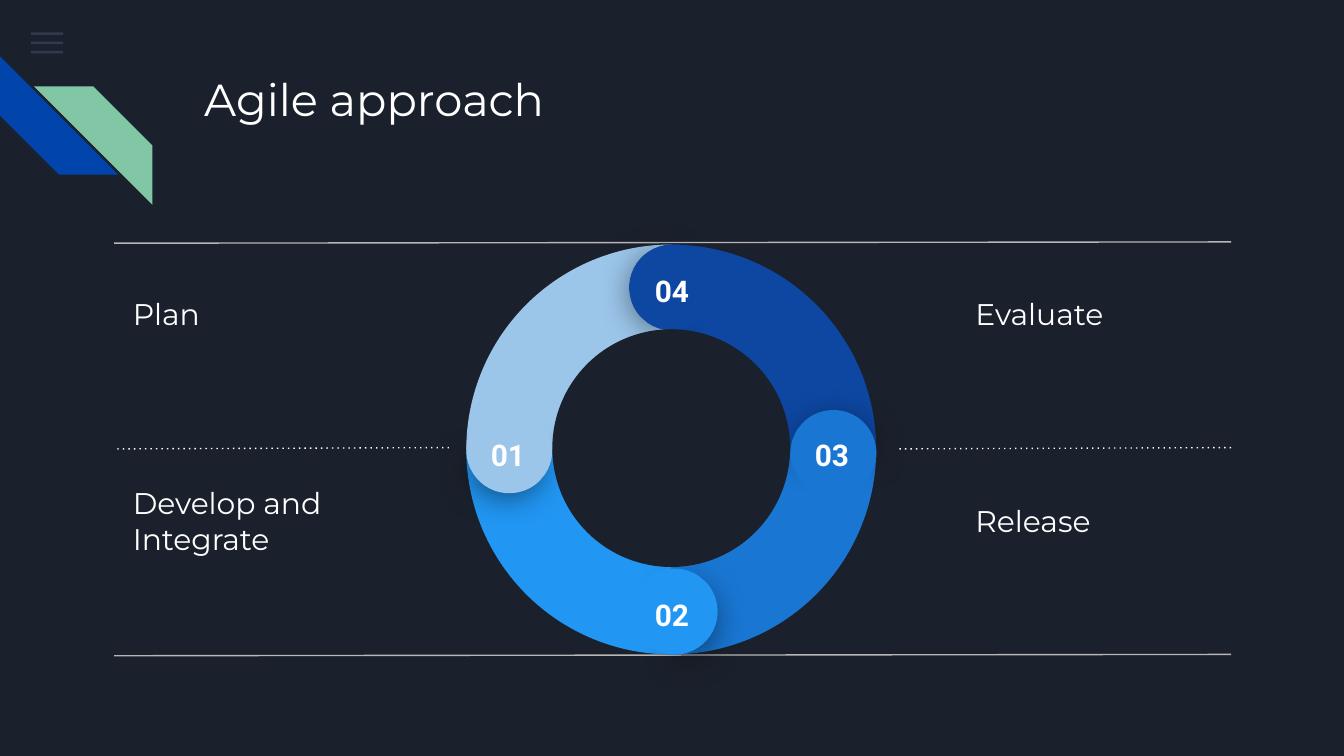
import dataclasses

import lxml.etree
import pptx
import pptx.dml.color
import pptx.enum.shapes
import pptx.enum.text
import pptx.oxml.ns
import pptx.util

Pt = pptx.util.Pt
qn = pptx.oxml.ns.qn
SHAPE = pptx.enum.shapes.MSO_SHAPE
ALIGN = pptx.enum.text.PP_ALIGN
ANCHOR = pptx.enum.text.MSO_ANCHOR


@dataclasses.dataclass(frozen=True)
class Theme:
    ground: str = "1B212C"
    text: str = "FFFFFF"
    rule: str = "B7B7B7"
    menu: str = "55688B"
    blue: str = "0145AC"
    green: str = "82C7A5"
    shadow: str = "000000"
    steps: tuple = ("9BC5E9", "2196F3", "1976D2", "0D47A1")
    body_font: str = "Montserrat"
    number_font: str = "Roboto"
    title_size: float = 24
    body_size: float = 16


def rgb(value):
    return pptx.dml.color.RGBColor.from_string(value)


def write(tf, text, *, size, font, color, bold=False, align=ALIGN.LEFT, anchor=ANCHOR.TOP):
    tf.word_wrap = True
    tf.auto_size = pptx.enum.text.MSO_AUTO_SIZE.NONE
    tf.vertical_anchor = anchor
    tf.margin_left = tf.margin_right = tf.margin_top = tf.margin_bottom = Pt(7.2)
    p = tf.paragraphs[0]
    p.alignment = align
    r = p.add_run()
    r.text = text
    r.font.size = Pt(size)
    r.font.name = font
    r.font.bold = bold
    r.font.color.rgb = rgb(color)


class Deck:
    def __init__(self, prs, theme):
        self.theme = theme
        self.s = prs.slides.add_slide(prs.slide_layouts[5])
        fill = self.s.background.fill
        fill.solid()
        fill.fore_color.rgb = rgb(theme.ground)

    def title(self, text, x, y, w, h):
        sp = self.s.shapes.title
        sp.left, sp.top, sp.width, sp.height = map(Pt, (x, y, w, h))
        write(sp.text_frame, text, size=self.theme.title_size,
              font=self.theme.body_font, color=self.theme.text)

    def text(self, text, x, y, w, h, **style):
        sp = self.s.shapes.add_textbox(*map(Pt, (x, y, w, h)))
        write(sp.text_frame, text, size=self.theme.body_size, color=self.theme.text, **style)

    def shape(self, kind, x, y, w, h, color, turn=0, adjust=(), alpha=None):
        sp = self.s.shapes.add_shape(kind, *map(Pt, (x, y, w, h)))
        sp.shadow.inherit = False
        sp.fill.solid()
        sp.fill.fore_color.rgb = rgb(color)
        sp.line.fill.background()
        sp.rotation = turn % 360
        for i, value in enumerate(adjust):
            sp.adjustments[i] = value
        if alpha is not None:
            clr = sp._element.spPr.find(qn("a:solidFill")).find(qn("a:srgbClr"))
            lxml.etree.SubElement(clr, qn("a:alpha"), val=str(alpha * 1000))
        return sp

    def cast_shadow(self, sp, alpha=55, blur=18, distance=4, direction=90):
        effects = sp._element.spPr.find(qn("a:effectLst"))
        shadow = lxml.etree.SubElement(
            effects, qn("a:outerShdw"), blurRad=str(Pt(blur)), dist=str(Pt(distance)),
            dir=str(direction * 60000), algn="bl", rotWithShape="0")
        clr = lxml.etree.SubElement(shadow, qn("a:srgbClr"), val=self.theme.shadow)
        lxml.etree.SubElement(clr, qn("a:alpha"), val=str(alpha * 1000))

    def line(self, x1, y1, x2, y2, color, dotted=False):
        c = self.s.shapes.add_connector(
            pptx.enum.shapes.MSO_CONNECTOR.STRAIGHT, *map(Pt, (x1, y1, x2, y2)))
        c.line.color.rgb = rgb(color)
        c.line.width = Pt(0.75)
        spPr = c._element.spPr
        if dotted:
            lxml.etree.SubElement(spPr.find(qn("a:ln")), qn("a:prstDash"), val="dot")
        lxml.etree.SubElement(spPr, qn("a:effectLst"))


def main():
    prs = pptx.Presentation()
    prs.slide_width, prs.slide_height = Pt(720), Pt(405)
    theme = Theme()
    deck = Deck(prs, theme)

    for i in range(3):
        deck.shape(SHAPE.RECTANGLE, 16.6, 17.3 + 5 * i, 17.3, 1.4, theme.menu, alpha=36)
    for x, y, color, turn in ((0, 30.2, theme.blue, 270), (18.2, 46.3, theme.green, 90)):
        deck.shape(SHAPE.DIAGONAL_STRIPE, x, y, 63.4, 63.4, color, turn, (0.5,))

    deck.title("Agile approach", 102.2, 31, 554.4, 72)

    left, right = 64.1, 515.5
    upper, lower = 150.5, 261.4
    for text, x, y in (("Plan", left, upper), ("Develop and Integrate", left, lower),
                       ("Evaluate", right, upper), ("Release", right, lower)):
        deck.text(text, x, y, 146.2, 35.3, font=theme.body_font, anchor=ANCHOR.MIDDLE)

    for x1, x2, y, color, dotted in (
            (659.5, 61.2, 129.6, theme.rule, False),
            (240.5, 61.2, 239.8, theme.text, True),
            (659.5, 480.2, 239.8, theme.text, True),
            (659.5, 61.2, 350.6, theme.rule, False)):
        deck.line(x1, y, x2, y + 0.7, color, dotted)

    turns = (0, 270, 180, 90)
    for color, turn in zip(theme.steps, turns):
        deck.shape(SHAPE.PIE, 249.8, 131, 219.6, 219.6, color, turn, (107.96, 162.01))

    caps = (
        ((250.6, 221), (249.8, 218.2), (252, 226.8)),
        ((341.3, 308.2), (338.4, 304.6), (339.8, 312.5)),
        ((427, 221), (423.4, 219.6), (425.5, 226.8)),
        ((338.4, 131.8), (337, 131), (339.8, 139)),
    )
    for n, (color, turn, (pie, chord, number)) in enumerate(zip(theme.steps, turns, caps), 1):
        sp = deck.shape(SHAPE.PIE, *pie, 41, 41, color, 39.5 + turn, (189.54, 83.81))
        deck.cast_shadow(sp)
        deck.shape(SHAPE.CHORD, *chord, 46.1, 46.1, color, 4.1 + turn, (25.01, 18.12))
        deck.text(f"{n:02d}", *number, 40.3, 20.9, font=theme.number_font,
                  bold=True, align=ALIGN.CENTER)

    deck.shape(SHAPE.OVAL, 295.9, 176.4, 127.4, 127.4, theme.ground)
    prs.save("out.pptx")


if __name__ == "__main__":
    main()
